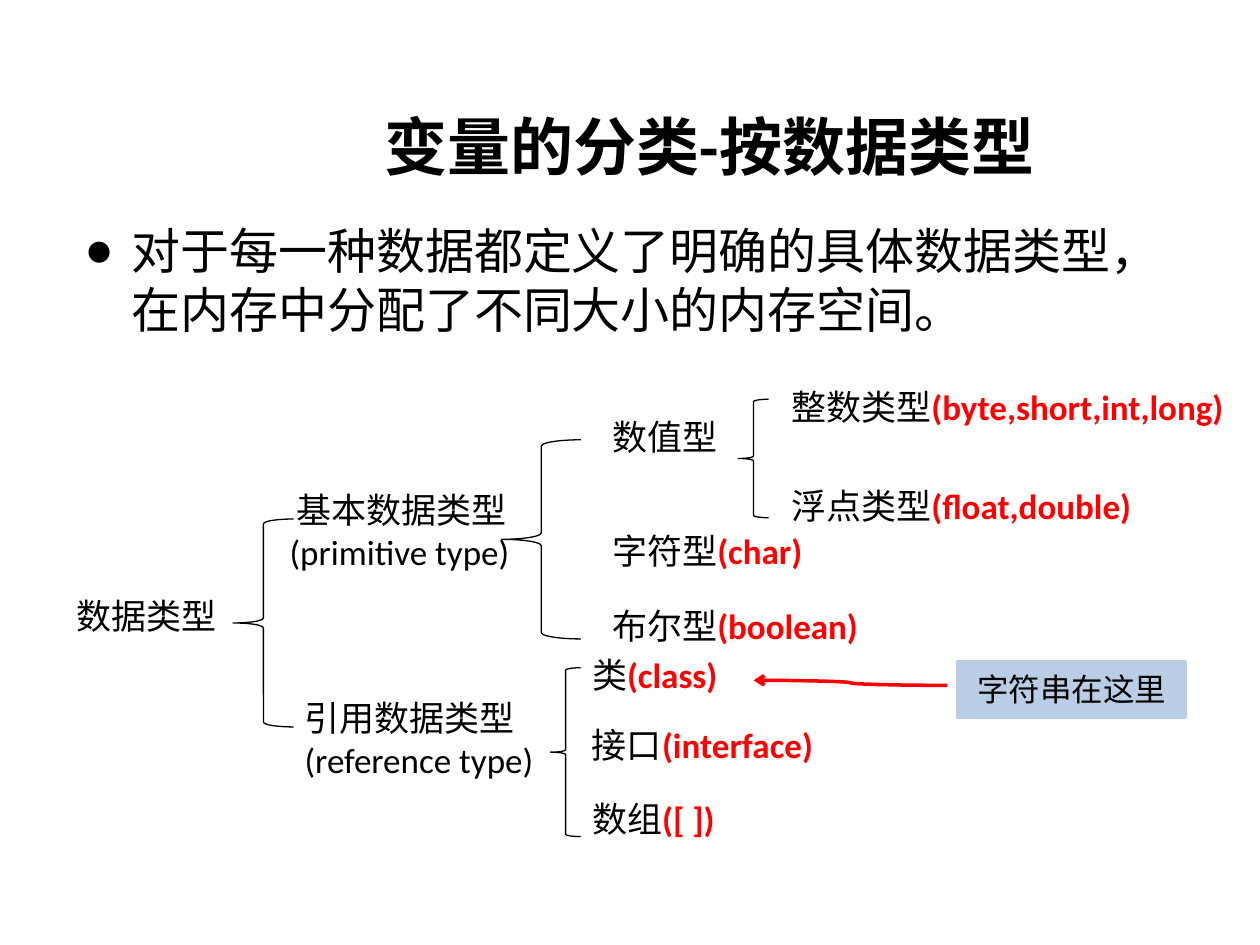
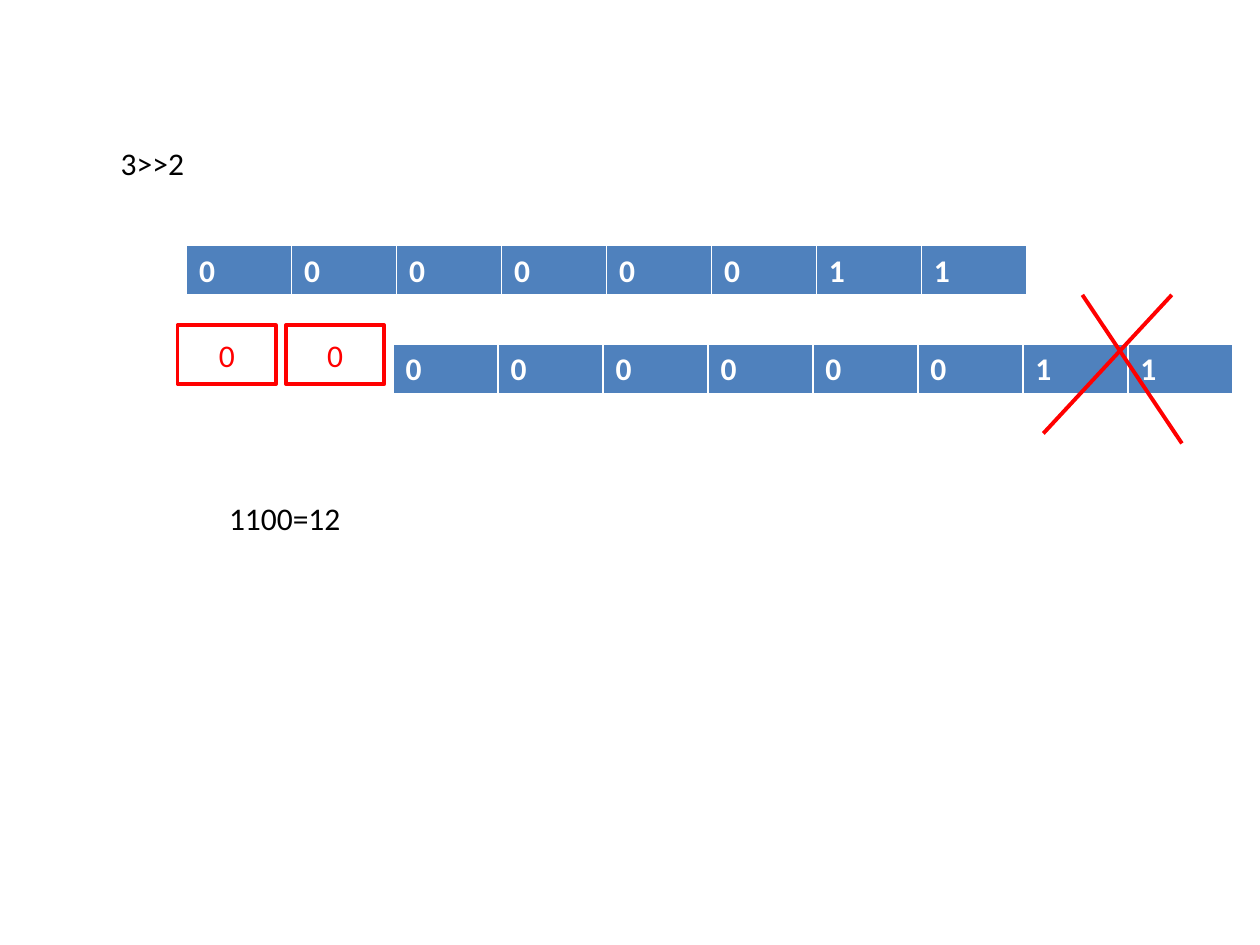
from dataclasses import dataclass

from lxml.etree import SubElement
from pptx import Presentation
from pptx.dml.color import RGBColor
from pptx.enum.shapes import MSO_CONNECTOR, MSO_SHAPE
from pptx.enum.text import MSO_ANCHOR, MSO_AUTO_SIZE, PP_ALIGN
from pptx.oxml.ns import qn
from pptx.util import Pt


# Theme
@dataclass(frozen=True)
class Theme:
    font: str = "Calibri"
    black: str = "000000"
    white: str = "FFFFFF"
    red: str = "FF0000"
    pale_blue: str = "B9CDE5"
    cell_blue: str = "4F81BD"
    title_size: int = 36
    body_size: int = 28
    label_size: int = 20
    note_size: int = 18


THEME = Theme()


def text_format(size, color=THEME.black, bold=False):
    return {"name": THEME.font, "size": Pt(size), "bold": bold, "color": color}


FORMATS = {
    "title": text_format(THEME.title_size, bold=True),
    "body": text_format(THEME.body_size),
    "label": text_format(THEME.label_size),
    "keyword": text_format(THEME.label_size, THEME.red, True),
    "note": text_format(THEME.note_size),
    "filled bit": text_format(THEME.note_size, THEME.red),
    "bit": text_format(THEME.note_size, THEME.white, True),
}

# Content of the data type slide; boxes are (left, top, width, height)
TITLE = "变量的分类-按数据类型"
TITLE_BOX = (157.7, 49, 495.4, 67.7)
BODY = "对于每一种数据都定义了明确的具体数据类型，在内存中分配了不同大小的内存空间。"
BODY_BOX = (41, 122.4, 648, 82.1)

# Group labels: box, then (indent, text) for each line
GROUPS = [
    ((36.7, 336.2, 113, 31.7), [(0, "数据类型")]),
    ((144.7, 275.8, 175.7, 55.4), [(17.8, "基本数据类型"), (13.7, "(primitive type)")]),
    ((167, 394.6, 159.1, 55.4), [(0, "引用数据类型"), (0, "(reference type)")]),
]

# Leaf columns: left edge, then (top, width, type, keyword)
LEAF_HEIGHT = 31.7
LEAF_COLUMNS = [
    (342.7, [
        (234, 102.2, "数值型", ""),
        (298.8, 136.1, "字符型", "(char)"),
        (342, 175.7, "布尔型", "(boolean)"),
    ]),
    (445, [
        (216.7, 275, "整数类型", "(byte,short,int,long)"),
        (273.6, 266.4, "浮点类型", "(float,double)"),
    ]),
    (331.2, [
        (370.1, 136.1, "类", "(class)"),
        (409.7, 198.7, "接口", "(interface)"),
        (452.2, 136.1, "数组", "([ ])"),
    ]),
]
BRACES = [
    (133.2, 296.6, 34.6, 118.8),
    (286.6, 251.3, 45.4, 113.8),
    (314.6, 381.6, 17.3, 96.5),
    (421.9, 228.2, 17.3, 67.7),
]
CALLOUT = "字符串在这里"
CALLOUT_BOX = (547.2, 378, 130.3, 31.7)
CALLOUT_ARROW = ((541.4, 391.7), (430.6, 388.8))

# Content of the bit shift slide
BITS = "00000011"
BIT_WIDTH, BIT_HEIGHT = 60, 29.2
BIT_ROWS = [(106.6, 140.4), (224.6, 196.6)]
FILLED_BITS = "00"
FILLED_BOX = (101.5, 185.8, 56.2, 33.8)
FILLED_PITCH = 61.9
CROSS = [((669.6, 168.5), (596.2, 247.7)), ((618.5, 168.5), (675.4, 253.4))]
NOTES = [
    ((61.9, 78.5, 163.4, 28.8), "3>>2"),
    ((123.8, 281.5, 416.2, 28.8), "1100=12"),
]


# Shared helpers
def points(values):
    return [Pt(value) for value in values]


def rgb(color):
    return RGBColor.from_string(color)


def add_run(paragraph, text, format_name):
    run = paragraph.add_run()
    run.text = text
    for name, value in FORMATS[format_name].items():
        if name == "color":
            run.font.color.rgb = rgb(value)
        else:
            setattr(run.font, name, value)


def set_line(line, color, width):
    line.color.rgb = rgb(color)
    line.width = Pt(width)


def fill_placeholder(placeholder, box, text, format_name):
    for name, value in zip(("left", "top", "width", "height"), points(box)):
        setattr(placeholder, name, value)
    placeholder.text_frame.auto_size = MSO_AUTO_SIZE.NONE
    paragraph = placeholder.text_frame.paragraphs[0]
    add_run(paragraph, text, format_name)
    return paragraph


def add_text(slide, box, lines):
    """Each line is (indent, [(text, format name), ...])."""
    frame = slide.shapes.add_textbox(*points(box)).text_frame
    frame.word_wrap = True
    frame.auto_size = MSO_AUTO_SIZE.SHAPE_TO_FIT_TEXT
    for index, (indent, runs) in enumerate(lines):
        paragraph = frame.add_paragraph() if index else frame.paragraphs[0]
        if indent:
            paragraph._p.get_or_add_pPr().set("marL", str(Pt(indent)))
        for text, format_name in runs:
            add_run(paragraph, text, format_name)


def add_box(slide, box, text, format_name, line_color, fill_color=None):
    shape = slide.shapes.add_shape(MSO_SHAPE.RECTANGLE, *points(box))
    shape.shadow.inherit = False
    if fill_color:
        shape.fill.solid()
        shape.fill.fore_color.rgb = rgb(fill_color)
    else:
        shape.fill.background()
    set_line(shape.line, line_color, 2)
    shape.text_frame.vertical_anchor = MSO_ANCHOR.MIDDLE
    paragraph = shape.text_frame.paragraphs[0]
    paragraph.alignment = PP_ALIGN.CENTER
    add_run(paragraph, text, format_name)


def add_brace(slide, box):
    brace = slide.shapes.add_shape(MSO_SHAPE.LEFT_BRACE, *points(box))
    brace.shadow.inherit = False
    brace.fill.background()
    brace.adjustments[0] = 0.08
    brace.adjustments[1] = 0.5
    set_line(brace.line, THEME.black, 0.75)


def add_red_line(slide, kind, ends, width, arrow=False):
    start, end = ends
    connector = slide.shapes.add_connector(kind, *points(start + end))
    set_line(connector.line, THEME.red, width)
    properties = connector.element.spPr
    if arrow:
        SubElement(properties.find(qn("a:ln")), qn("a:tailEnd"), type="arrow")
    SubElement(properties, qn("a:effectLst"))


def set_cell_borders(cell):
    properties = cell._tc.get_or_add_tcPr()
    borders = [("lnL", 1), ("lnR", 1), ("lnT", 1), ("lnB", 3)]
    for position, (side, width) in enumerate(borders):
        border = SubElement(properties, qn(f"a:{side}"), w=str(Pt(width)))
        fill = SubElement(border, qn("a:solidFill"))
        SubElement(fill, qn("a:srgbClr"), val=THEME.white)
        properties.insert(position, border)


def add_bit_row(slide, left, top):
    size = (left, top, BIT_WIDTH * len(BITS), BIT_HEIGHT)
    table = slide.shapes.add_table(1, len(BITS), *points(size)).table
    table.horz_banding = False
    for column, bit in enumerate(BITS):
        table.columns[column].width = Pt(BIT_WIDTH)
        cell = table.cell(0, column)
        cell.fill.solid()
        cell.fill.fore_color.rgb = rgb(THEME.cell_blue)
        set_cell_borders(cell)
        add_run(cell.text_frame.paragraphs[0], bit, "bit")


# Slides
def build_data_type_slide(presentation):
    slide = presentation.slides.add_slide(presentation.slide_layouts[1])
    title = slide.shapes.title
    fill_placeholder(title, TITLE_BOX, TITLE, "title").alignment = PP_ALIGN.CENTER
    title.text_frame.vertical_anchor = MSO_ANCHOR.MIDDLE

    paragraph = fill_placeholder(slide.placeholders[1], BODY_BOX, BODY, "body")
    properties = paragraph._p.get_or_add_pPr()
    properties.set("marL", str(Pt(27)))
    properties.set("indent", str(Pt(-27)))
    SubElement(properties, qn("a:buChar"), char="●")

    # Type tree
    for box in BRACES:
        add_brace(slide, box)
    for box, lines in GROUPS:
        add_text(slide, box, [(indent, [(text, "label")]) for indent, text in lines])
    for left, leaves in LEAF_COLUMNS:
        for top, width, label, keyword in leaves:
            runs = [(label, "label")]
            if keyword:
                runs.append((keyword, "keyword"))
            add_text(slide, (left, top, width, LEAF_HEIGHT), [(0, runs)])

    # Callout
    add_box(slide, CALLOUT_BOX, CALLOUT, "note", THEME.pale_blue, THEME.pale_blue)
    add_red_line(slide, MSO_CONNECTOR.CURVE, CALLOUT_ARROW, 2, arrow=True)


def build_bit_shift_slide(presentation):
    slide = presentation.slides.add_slide(presentation.slide_layouts[6])
    for left, top in BIT_ROWS:
        add_bit_row(slide, left, top)
    for ends in CROSS:
        add_red_line(slide, MSO_CONNECTOR.STRAIGHT, ends, 2.25)
    left, top, width, height = FILLED_BOX
    for index, bit in enumerate(FILLED_BITS):
        box = (left + index * FILLED_PITCH, top, width, height)
        add_box(slide, box, bit, "filled bit", THEME.red)
    for box, text in NOTES:
        add_text(slide, box, [(0, [(text, "note")])])


def main():
    presentation = Presentation()
    presentation.slide_width, presentation.slide_height = Pt(720), Pt(540)
    build_data_type_slide(presentation)
    build_bit_shift_slide(presentation)
    presentation.save("out.pptx")


if __name__ == "__main__":
    main()
